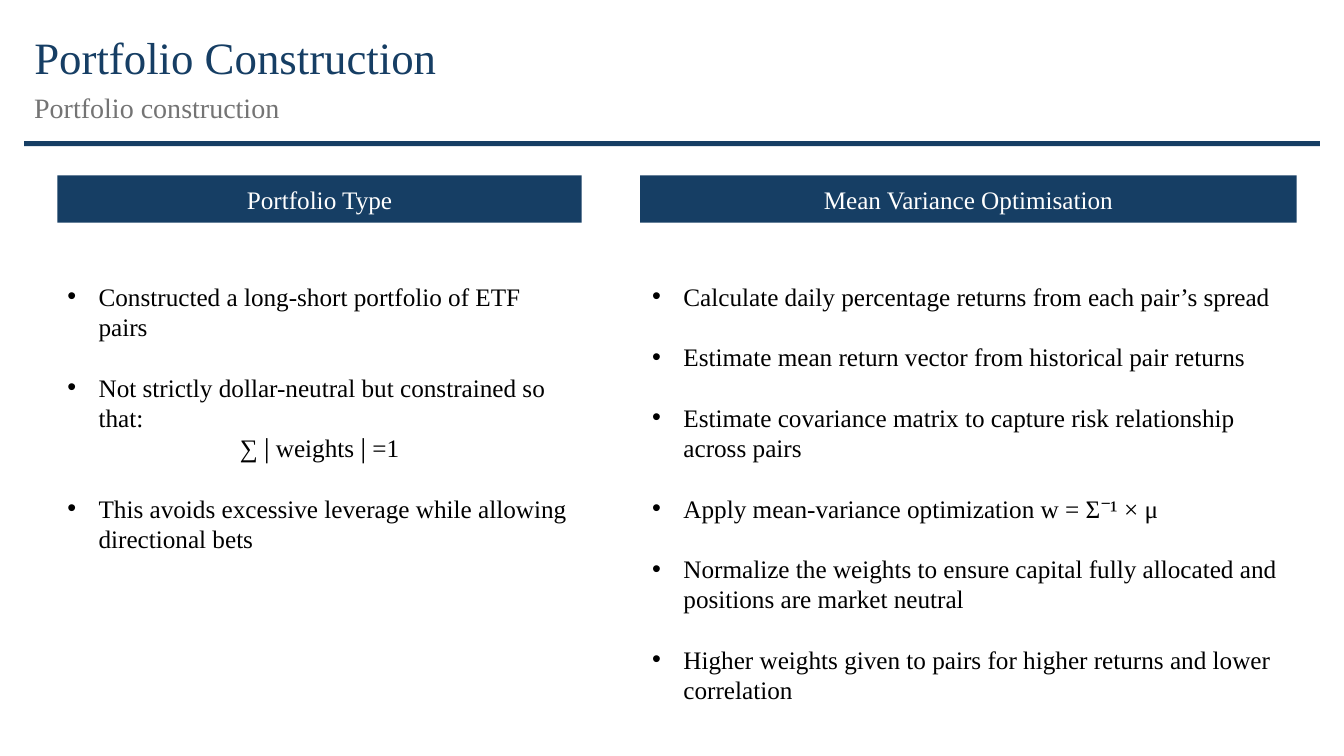
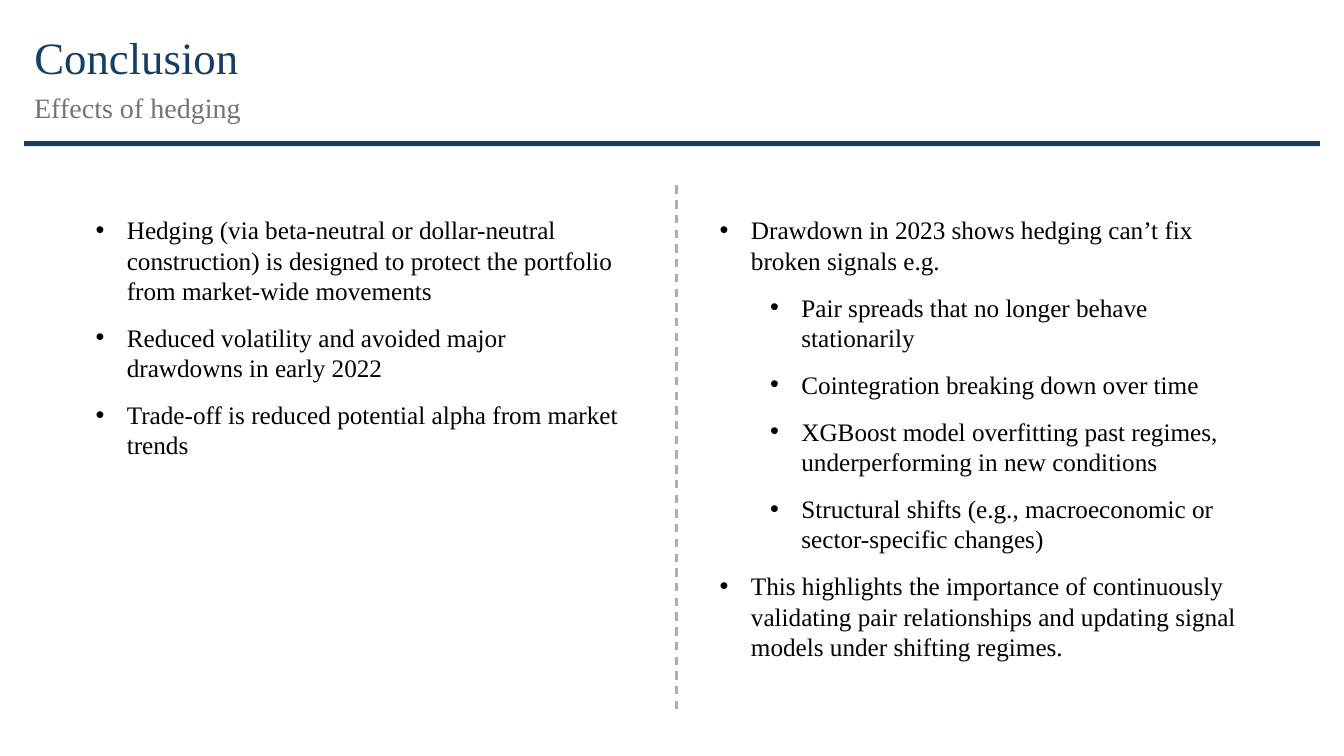
import lxml.etree
import pptx
import pptx.dml.color
import pptx.enum.dml
import pptx.enum.shapes
import pptx.enum.text
import pptx.oxml.ns
import pptx.util

PX = 9144  # 100 px to the inch
FONT = "Times New Roman"
NAVY, GREY, RULE, BLACK, WHITE = "163E64", "747474", "AEAEAE", "000000", "FFFFFF"
ALIGN = pptx.enum.text.PP_ALIGN
MIDDLE = pptx.enum.text.MSO_ANCHOR.MIDDLE
TOP = pptx.enum.text.MSO_ANCHOR.TOP
HANG = 31
STEP = 50
FORMULA = -1  # level of a centred line without a bullet


def emu(*sizes):
    return [pptx.util.Emu(size * PX) for size in sizes]


def color(code):
    return pptx.dml.color.RGBColor.from_string(code)


def child(parent, tag, **attrs):
    node = lxml.etree.SubElement(parent, pptx.oxml.ns.qn(tag))
    for name, value in attrs.items():
        node.set(name, value)
    return node


def style(para, size, code, align=ALIGN.LEFT):
    para.alignment = align
    for run in para.runs:
        run.font.name = FONT
        run.font.size = pptx.util.Pt(size)
        run.font.color.rgb = color(code)


def label(shape, text, size, code, align=ALIGN.LEFT, lead=1.0):
    """Put one vertically centred line of text into a shape."""
    frame = shape.text_frame
    frame.text = text
    frame.word_wrap = True
    frame.auto_size = pptx.enum.text.MSO_AUTO_SIZE.NONE
    frame.vertical_anchor = MIDDLE
    para = frame.paragraphs[0]
    para.line_spacing = lead
    style(para, size, code, align)


def bar(slide, box):
    shape = slide.shapes.add_shape(pptx.enum.shapes.MSO_SHAPE.RECTANGLE, *emu(*box))
    shape.shadow.inherit = False
    shape.fill.solid()
    shape.fill.fore_color.rgb = color(NAVY)
    shape.line.fill.background()
    return shape


def bullet(para, level):
    para.level = level
    props = para._p.get_or_add_pPr()
    props.set("marL", str((HANG + level * STEP) * PX))
    props.set("indent", str(-HANG * PX))
    child(props, "a:buFont", typeface="Arial")
    child(props, "a:buChar", char="•")


def bullets(slide, box, items, gap):
    """Write (level, text) items, gap points apart; a formula follows its bullet closely."""
    frame = slide.shapes.add_textbox(*emu(*box)).text_frame
    frame.word_wrap = True
    frame.vertical_anchor = TOP
    for index, (level, text) in enumerate(items):
        para = frame.paragraphs[0] if index == 0 else frame.add_paragraph()
        para.text = text
        if level != FORMULA:
            bullet(para, level)
        tight = index + 1 < len(items) and items[index + 1][0] == FORMULA
        para.space_after = pptx.util.Pt(0 if tight else gap)
        style(para, 18, BLACK, ALIGN.CENTER if level == FORMULA else ALIGN.LEFT)


def divider(slide, x, top, bottom):
    line = slide.shapes.add_connector(
        pptx.enum.shapes.MSO_CONNECTOR.STRAIGHT, *emu(x, top, x, bottom))
    line.line.color.rgb = color(RULE)
    line.line.width = pptx.util.Pt(1.5)
    line.line.dash_style = pptx.enum.dml.MSO_LINE.DASH
    child(line._element.spPr, "a:effectLst")


def page(deck, title, topic):
    """Add a slide with the shared title, subtitle and rule."""
    slide = deck.slides.add_slide(deck.slide_layouts[5])
    head = slide.shapes.title
    head.left, head.top, head.width, head.height = emu(24, 12, 1218, 94)
    label(head, title, 32, NAVY, lead=0.9)
    bar(slide, (24, 140, 1285, 5))
    label(slide.shapes.add_textbox(*emu(24, 91, 1218, 38)), topic, 20, GREY, lead=0.8)
    return slide


def panel(slide, box, title, items, shift=0):
    """Draw a heading bar with a bullet list under it."""
    left, top, width, height = box
    label(bar(slide, (left, top, width, 47)), title, 18, WHITE, ALIGN.CENTER)
    bullets(slide, (left + shift, top + 100, width, height - 100), items, 21.6)


def build(deck):
    slide = page(deck, "Portfolio Construction", "Portfolio construction")
    panel(slide, (57, 174, 520, 413), "Portfolio Type", [
        (0, "Constructed a long-short portfolio of ETF pairs"),
        (0, "Not strictly dollar-neutral but constrained so that:"),
        (FORMULA, "∑∣weights∣=1"),
        (0, "This avoids excessive leverage while allowing directional bets"),
    ])
    panel(slide, (635, 174, 651, 564), "Mean Variance Optimisation", [
        (0, "Calculate daily percentage returns from each pair’s spread"),
        (0, "Estimate mean return vector from historical pair returns"),
        (0, "Estimate covariance matrix to capture risk relationship across pairs"),
        (0, "Apply mean-variance optimization w = Σ⁻¹ × μ"),
        (0, "Normalize the weights to ensure capital fully allocated and "
            "positions are market neutral"),
        (0, "Higher weights given to pairs for higher returns and lower correlation"),
    ], shift=2)

    slide = page(deck, "Conclusion", "Effects of hedging")
    bullets(slide, (85, 208, 544, 453), [
        (0, "Hedging (via beta-neutral or dollar-neutral construction) is designed "
            "to protect the portfolio from market-wide movements"),
        (0, "Reduced volatility and avoided major drawdowns in early 2022"),
        (0, "Trade-off is reduced potential alpha from market trends"),
    ], 12)
    bullets(slide, (704, 208, 544, 453), [
        (0, "Drawdown in 2023 shows hedging can’t fix broken signals e.g."),
        (1, "Pair spreads that no longer behave stationarily"),
        (1, "Cointegration breaking down over time"),
        (1, "XGBoost model overfitting past regimes, underperforming in new conditions"),
        (1, "Structural shifts (e.g., macroeconomic or sector-specific changes)"),
        (0, "This highlights the importance of continuously validating pair "
            "relationships and updating signal models under shifting regimes."),
    ], 12)
    divider(slide, 671, 184, 703)


def main():
    deck = pptx.Presentation()
    deck.slide_width, deck.slide_height = emu(1333, 750)
    build(deck)
    deck.save("out.pptx")


if __name__ == "__main__":
    main()
